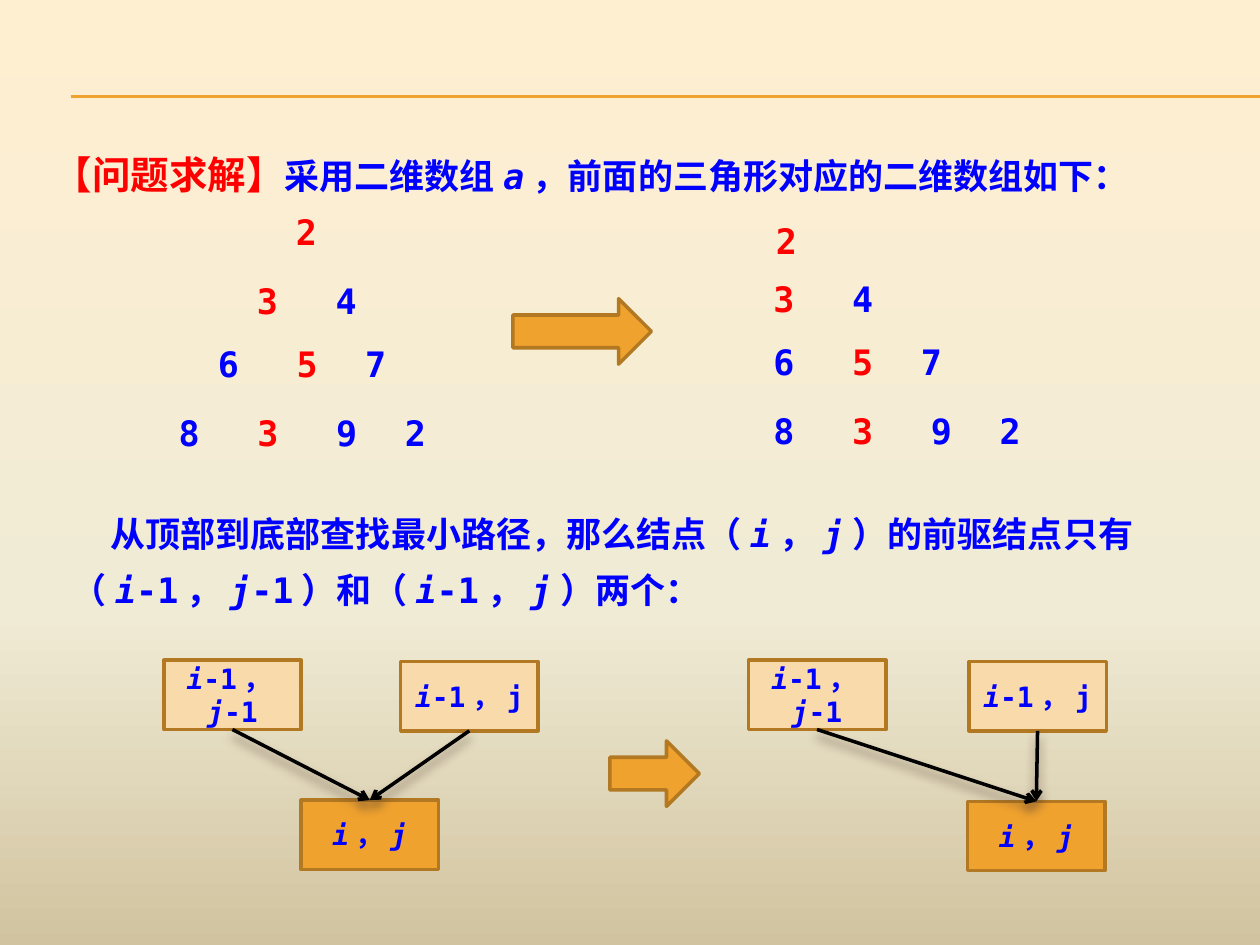
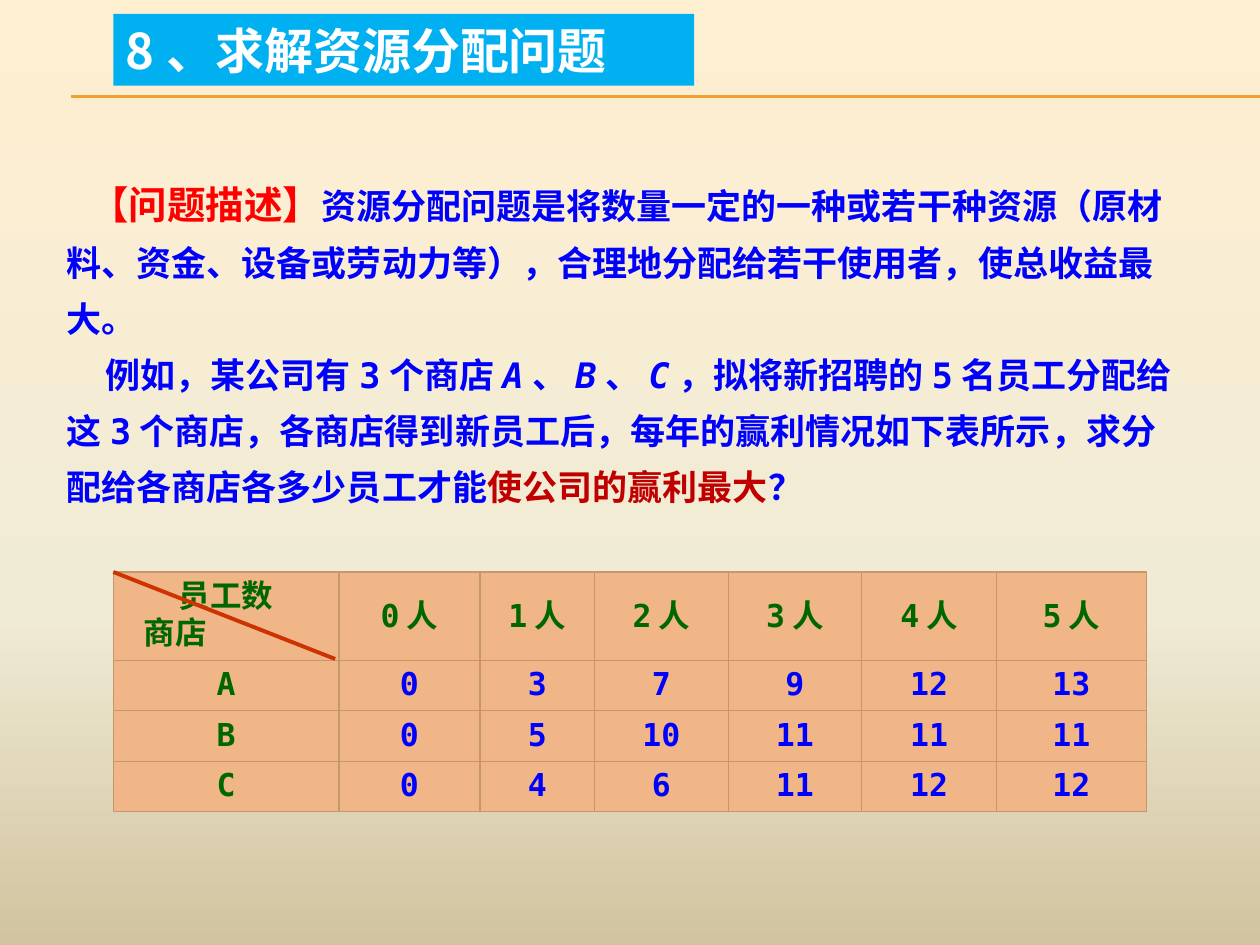
from pptx import Presentation
from pptx.dml.color import RGBColor
from pptx.enum.lang import MSO_LANGUAGE_ID
from pptx.enum.shapes import MSO_CONNECTOR, MSO_SHAPE
from pptx.enum.text import MSO_ANCHOR, PP_ALIGN
from pptx.oxml import parse_xml
from pptx.oxml.ns import qn
from pptx.util import Inches, Pt
from lxml import etree

RECT, ARROW = MSO_SHAPE.RECTANGLE, MSO_SHAPE.RIGHT_ARROW
LINE = MSO_CONNECTOR.STRAIGHT
LEFT, CENTER = PP_ALIGN.LEFT, PP_ALIGN.CENTER
TOP, MIDDLE = MSO_ANCHOR.TOP, MSO_ANCHOR.MIDDLE
CHINESE = MSO_LANGUAGE_ID.SIMPLIFIED_CHINESE

MONO, SANS = "DejaVu Sans Mono", "Noto Sans CJK SC"
BLUE, RED, GREEN, CRIMSON = "0000FF", "FF0000", "006600", "C00000"
ORANGE, PEACH, BROWN, BLACK = "F0A22E", "F9DAAB", "B27822", "000000"
SKY, WHITE, RUST = "00B0F0", "FFFFFF", "CC3300"
SAND, TAN, SHADE = "F0B687", "C3986D", "4E3B30"
STOPS = ((0, "FFEFD1"), (65, "F0EBD5"), (100, "D1C39F"))
NS = 'xmlns:a="http://schemas.openxmlformats.org/drawingml/2006/main"'
NSP = 'xmlns:p="http://schemas.openxmlformats.org/presentationml/2006/main"'


def color(code):
    return RGBColor.from_string(code)


def inches(*values):
    return [Inches(v) for v in values]


def write(par, text, size=20, font=MONO, ink=BLUE):
    """Add bold text to a paragraph; parts between asterisks are italic."""
    for n, part in enumerate(text.split("*")):
        if not part:
            continue
        run = par.add_run()
        run.text = part
        face = run.font
        face.size, face.bold, face.italic = Pt(size), True, n % 2 == 1
        face.name, face.language_id = font, CHINESE
        face.color.rgb = color(ink)
        latin = run._r.get_or_add_rPr().find(qn("a:latin"))
        latin.addnext(parse_xml(f'<a:ea {NS} typeface="{font}"/>'))


class Deck:
    """Holds the shared style and the current slide."""

    def __init__(self):
        self.prs = Presentation()
        self.prs.slide_width, self.prs.slide_height = inches(10, 7.5)

    def slide(self):
        """Start a slide with the gradient ground and the double rule."""
        self.page = self.prs.slides.add_slide(self.prs.slide_layouts[6])
        stops = "".join(
            f'<a:gs pos="{pos * 1000}"><a:srgbClr val="{code}"/></a:gs>'
            for pos, code in STOPS)
        ground = parse_xml(
            f'<p:bg {NS} {NSP}><p:bgPr><a:gradFill><a:gsLst>{stops}</a:gsLst>'
            '<a:lin ang="5400000" scaled="0"/></a:gradFill><a:effectLst/>'
            '</p:bgPr></p:bg>')
        self.page.shapes._spTree.addprevious(ground)
        for y in (0.76, 0.77):
            self.line((0.56, y), (10, y), ORANGE, 0.75)

    def line(self, start, end, ink, width, arrow=False):
        """Draw a line, or an arrow with a soft shadow."""
        link = self.page.shapes.add_connector(LINE, *inches(*start, *end))
        link.line.color.rgb, link.line.width = color(ink), Pt(width)
        props = link._element.spPr
        effect = etree.SubElement(props, qn("a:effectLst"))
        if arrow:
            link.line._get_or_add_ln().append(
                parse_xml(f'<a:tailEnd {NS} type="arrow"/>'))
            effect.append(parse_xml(
                f'<a:outerShdw {NS} blurRad="{Pt(6)}" dist="{Pt(4)}" '
                'dir="5400000" rotWithShape="0">'
                f'<a:srgbClr val="{SHADE}"><a:alpha val="60000"/></a:srgbClr>'
                '</a:outerShdw>'))

    def fill(self, frame, pars, first=(), align=LEFT, lead=None):
        """Fill a text frame with paragraphs made of (text, format) parts."""
        for n, parts in enumerate(pars):
            par = frame.add_paragraph() if n else frame.paragraphs[0]
            par.alignment = align
            if lead:
                par.line_spacing = Pt(lead)
            if first:
                props = par._p.get_or_add_pPr()
                props.set("marL", "0")
                props.set("indent", str(Inches(first[n])))
            for text, form in parts:
                write(par, text, **form)

    def text(self, box, pars, **form):
        """Place a wrapping text box."""
        frame = self.page.shapes.add_textbox(*inches(*box)).text_frame
        frame.word_wrap = True
        self.fill(frame, pars, **form)

    def shape(self, kind, box, fill, edge=None):
        """Place a flat shape and return it."""
        item = self.page.shapes.add_shape(kind, *inches(*box))
        item.shadow.inherit = False
        item.fill.solid()
        item.fill.fore_color.rgb = color(fill)
        if edge:
            item.line.color.rgb, item.line.width = color(edge), Pt(2)
        else:
            item.line.fill.background()
        return item

    def node(self, x, y, label, fill=PEACH):
        """Place a labelled graph node."""
        frame = self.shape(RECT, (x, y, 1.09, 0.55), fill, BROWN).text_frame
        frame.word_wrap, frame.vertical_anchor = True, MIDDLE
        frame.margin_left = frame.margin_right = 0
        self.fill(frame, [[(label, {"size": 16})]], align=CENTER)

    def graph(self, left, right, root, low):
        """Draw two parent nodes with arrows to their child."""
        self.node(root, low, "*i*，*j*", ORANGE)
        self.node(right, 5.25, "*i*-1，j")
        self.node(left, 5.24, "*i*-1，*j*-1")
        for x, y in ((right, 5.8), (left, 5.79)):
            self.line((x + 0.545, y), (root + 0.545, low), BLACK, 2, True)

    def digits(self, lefts, tops):
        """Set out the number triangle, with the least path in red."""
        rows = ("2", "34", "657", "8392")
        for r, (row, path) in enumerate(zip(rows, (0, 0, 1, 1))):
            for c, digit in enumerate(row):
                x = lefts[r] + 0.625 * c
                if r > 1 and c == r:
                    x -= 0.08
                ink = RED if c == path else BLUE
                self.text((x, tops[r], 0.31, 0.44), [[(digit, {"ink": ink})]])

    def cell(self, cell, pars, anchor=TOP, **form):
        """Fill and border one table cell."""
        props = cell._tc.get_or_add_tcPr()
        for side in "LRTB":
            props.append(parse_xml(
                f'<a:ln{side} {NS} w="{Pt(0.79)}"><a:solidFill>'
                f'<a:srgbClr val="{TAN}"/></a:solidFill></a:ln{side}>'))
        cell.fill.solid()
        cell.fill.fore_color.rgb = color(SAND)
        cell.vertical_anchor = anchor
        self.fill(cell.text_frame, pars, **form)

    def table(self, box, widths, heights, rows):
        """Place the profit table with its two-line corner cell."""
        grid = self.page.shapes.add_table(
            len(rows), len(widths), *inches(*box)).table
        for col, width in zip(grid.columns, widths):
            col.width = Inches(width)
        for row, height in zip(grid.rows, heights):
            row.height = Inches(height)
        for r, row in enumerate(rows):
            for c, value in enumerate(row):
                head = r == 0 or c == 0
                form = {"size": 18, "ink": GREEN if head else BLUE}
                if r == c == 0:
                    pars = [[(label, form)] for label in value]
                    self.cell(grid.cell(0, 0), pars, first=(0.42, 0.14))
                else:
                    self.cell(grid.cell(r, c), [[(str(value), form)]],
                              TOP if r else MIDDLE, align=CENTER)


def solve(deck):
    """Build the slide on the two-dimensional array."""
    deck.slide()
    deck.text((0.19, 1.07, 9.14, 0.55), [[
        ("【问题求解】", {"size": 22, "font": SANS, "ink": RED}),
        ("采用二维数组*a*，前面的三角形对应的二维数组如下：", {})]],
        first=[0.14], lead=32)
    deck.text((0.47, 3.91, 9.06, 1), [[
        ("从顶部到底部查找最小路径，那么结点（*i*，*j*）的前驱结点只有"
         "（*i*-1，*j*-1）和（*i*-1，*j*）两个：", {})]],
        first=[0.31], lead=32)
    deck.digits([2.25 - 0.31 * r for r in range(4)], (1.62, 2.17, 2.67, 3.22))
    deck.digits((6.06, 6.04, 6.04, 6.04), (1.69, 2.15, 2.65, 3.2))
    deck.graph(1.3, 3.18, 2.39, 6.35)
    deck.graph(5.94, 7.69, 7.68, 6.36)
    for box in ((4.07, 2.37, 1.1, 0.52), (4.84, 5.88, 0.71, 0.52)):
        deck.shape(ARROW, box, ORANGE, BROWN)


def share(deck):
    """Build the slide on sharing out staff."""
    deck.slide()
    deck.text((0.43, 1.31, 8.98, 2.79), [
        [("【问题描述】", {"size": 22, "font": SANS, "ink": RED}),
         ("资源分配问题是将数量一定的一种或若干种资源（原材料、资金、设备或"
          "劳动力等），合理地分配给若干使用者，使总收益最大。", {})],
        [("例如，某公司有3个商店*A*、*B*、*C*，拟将新招聘的5名员工分配给"
          "这3个商店，各商店得到新员工后，每年的赢利情况如下表所示，求分"
          "配给各商店各多少员工才能", {}),
         ("使公司的赢利最大", {"ink": CRIMSON}), ("？", {})]],
        first=(0.19, 0.31), lead=32)
    deck.table(
        (0.9, 4.54, 8.2, 1.9), (1.79, 1.12, 0.91, 1.06, 1.06, 1.07, 1.19),
        (0.7, 0.4, 0.4, 0.4),
        [[("员工数", "商店")] + [f"{n}人" for n in range(6)],
         ["A", 0, 3, 7, 9, 12, 13],
         ["B", 0, 5, 10, 11, 11, 11],
         ["C", 0, 4, 6, 11, 12, 12]])
    deck.line((0.9, 4.54), (2.66, 5.23), RUST, 2.25)
    band = deck.shape(RECT, (0.9, 0.11, 4.61, 0.57), SKY)
    band.text_frame.word_wrap = True
    deck.fill(band.text_frame, [[
        ("8、求解资源分配问题", {"size": 28, "font": SANS, "ink": WHITE})]])


def main():
    deck = Deck()
    solve(deck)
    share(deck)
    deck.prs.save("out.pptx")


if __name__ == "__main__":
    main()
